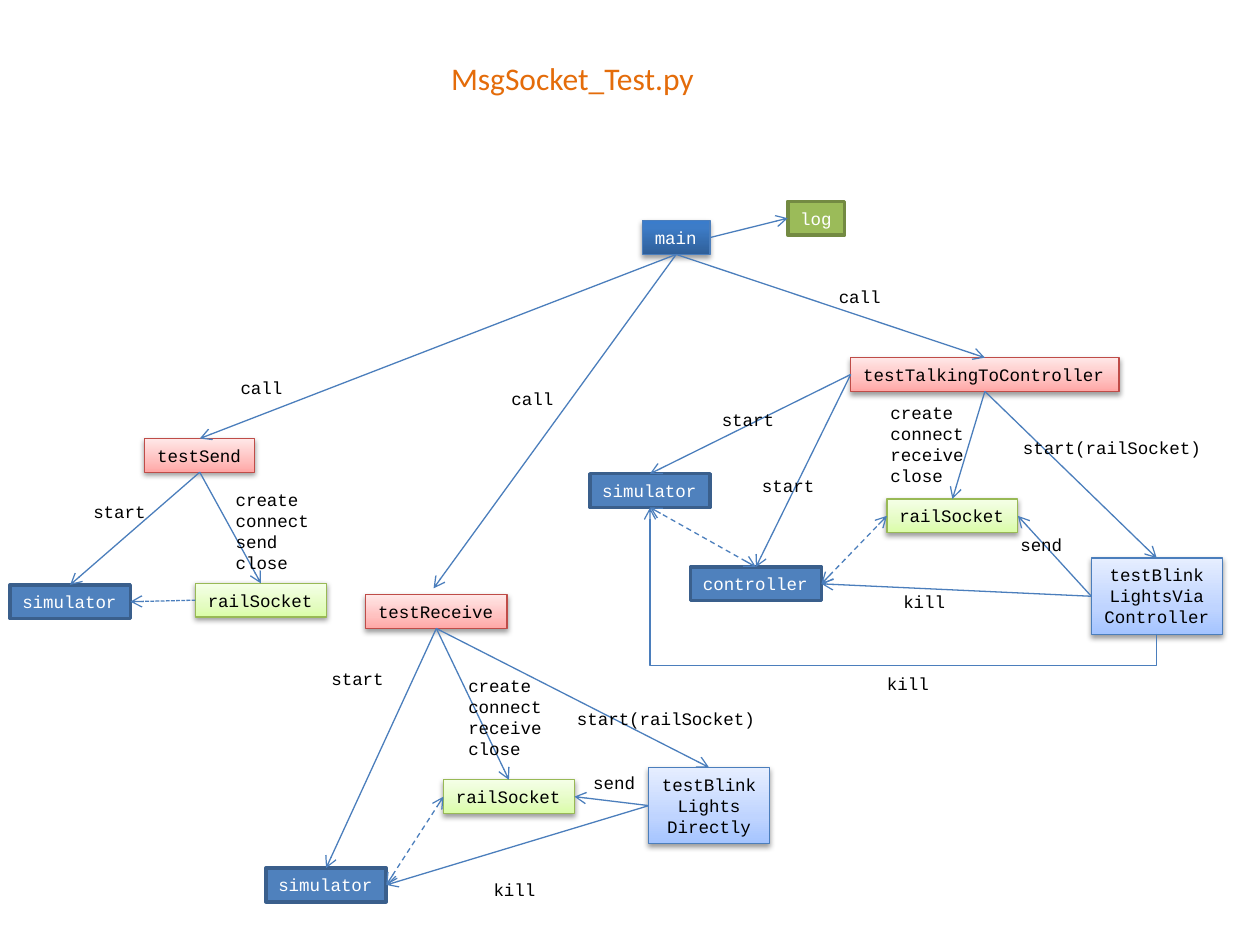
from lxml import etree
from pptx import Presentation
from pptx.dml.color import RGBColor
from pptx.enum.dml import MSO_LINE
from pptx.enum.shapes import MSO_CONNECTOR, MSO_SHAPE
from pptx.enum.text import MSO_ANCHOR, MSO_AUTO_SIZE, PP_ALIGN
from pptx.oxml.ns import qn
from pptx.util import Cm, Pt

RECTANGLE = MSO_SHAPE.RECTANGLE
STRAIGHT, ELBOW = MSO_CONNECTOR.STRAIGHT, MSO_CONNECTOR.ELBOW
DASH, SHORT_DASH = MSO_LINE.DASH, MSO_LINE.SQUARE_DOT
LEFT, CENTER = PP_ALIGN.LEFT, PP_ALIGN.CENTER
TOP_SITE, LEFT_SITE, BOTTOM_SITE, RIGHT_SITE = range(4)

COLORS = {"title": "E46C0A", "line": "4B7EBC", "black": "000000", "white": "FFFFFF"}
# Each style: gradient stops or one solid fill, outline, outline width, text colour
STYLES = {
    "main": ({0: "2F5F99", 80: "3D7CC7", 100: "3A7CCB"}, "4B7EBC", 0.75, "white"),
    "log": ("9BBB59", "738A42", 2, "white"),
    "process": ("4F81BD", "3A5F8C", 2, "white"),
    "test": ({0: "FFA6A5", 35: "FFC0BF", 100: "FFE7E7"}, "BF4C48", 0.75, "black"),
    "socket": ({0: "DAFDA7", 35: "E4FCC2", 100: "F5FFE7"}, "98B955", 0.75, "black"),
    "blink": ({0: "A4C4FF", 35: "BFD4FF", 100: "E6EEFF"}, "4B7EBC", 0.75, "black"),
}
CHAR_WIDTH, LINE_HEIGHT = 0.213, 0.43
SIDE_MARGINS, END_MARGINS = 0.51, 0.25

presentation = Presentation()
presentation.slide_width, presentation.slide_height = Cm(25.4), Cm(19.05)
slide = presentation.slides.add_slide(presentation.slide_layouts[5])


def add_text(shape, text, color, alignment=LEFT):
    """Size the shape to its monospaced text and write the text."""
    lines = text.replace("\v", "\n").split("\n")
    shape.width = Cm(SIDE_MARGINS + CHAR_WIDTH * max(map(len, lines)))
    shape.height = Cm(END_MARGINS + LINE_HEIGHT * len(lines))
    frame = shape.text_frame
    frame.text = text
    frame.word_wrap = False
    frame.auto_size = MSO_AUTO_SIZE.SHAPE_TO_FIT_TEXT
    frame.vertical_anchor = MSO_ANCHOR.TOP
    for paragraph in frame.paragraphs:
        paragraph.alignment = alignment
        for run in paragraph.runs:
            run.font.name, run.font.size = "Courier New", Pt(10)
            run.font.color.rgb = RGBColor.from_string(COLORS[color])


def style_connector(connector, dash=None, both_ends=False):
    connector.line.color.rgb = RGBColor.from_string(COLORS["line"])
    connector.line.width = Pt(0.75)
    if dash is not None:
        connector.line.dash_style = dash
    properties = connector._element.spPr
    outline = properties.find(qn("a:ln"))
    for end in ("a:headEnd", "a:tailEnd") if both_ends else ("a:tailEnd",):
        etree.SubElement(outline, qn(end), type="arrow")
    etree.SubElement(properties, qn("a:effectLst"))


# Title
title = slide.shapes.title
title.left, title.top, title.width, title.height = Cm(8.81), Cm(1.07), Cm(5.46), Cm(1.02)
title.text_frame.text = "MsgSocket_Test.py"
title.text_frame.word_wrap = False
title_font = title.text_frame.paragraphs[0].runs[0].font
title_font.name, title_font.size = "Calibri", Pt(18)
title_font.color.rgb = RGBColor.from_string(COLORS["title"])

# Boxes: key, text, style, left, top
boxes = {}
for key, text, style, left, top in [
    ("main", "main", "main", 12.95, 4.45),
    ("log", "log", "log", 15.88, 4.06),
    ("send", "testSend", "test", 2.92, 8.84),
    ("receive", "testReceive", "test", 7.37, 11.99),
    ("talk", "testTalkingToController", "test", 17.15, 7.21),
    ("send socket", "railSocket", "socket", 3.94, 11.76),
    ("send simulator", "simulator", "process", 0.2, 11.79),
    ("receive simulator", "simulator", "process", 5.36, 17.5),
    ("receive socket", "railSocket", "socket", 8.94, 15.72),
    ("receive blink", "testBlink\nLights\nDirectly", "blink", 13.08, 15.47),
    ("controller", "controller", "process", 13.92, 11.43),
    ("talk simulator", "simulator", "process", 11.89, 9.55),
    ("talk socket", "railSocket", "socket", 17.88, 10.06),
    ("talk blink", "testBlink\vLightsVia\nController", "blink", 22, 11.25),
]:
    fill, outline, outline_width, text_color = STYLES[style]
    shape = slide.shapes.add_shape(RECTANGLE, Cm(left), Cm(top), Cm(1), Cm(1))
    add_text(shape, text, text_color, CENTER if style == "blink" else LEFT)
    shape.line.color.rgb = RGBColor.from_string(outline)
    shape.line.width = Pt(outline_width)
    shape.shadow.inherit = False
    if isinstance(fill, str):
        shape.fill.solid()
        shape.fill.fore_color.rgb = RGBColor.from_string(fill)
    else:
        shape.fill.gradient()
        shape.fill.gradient_angle = 90
        properties = shape._element.spPr
        stops = properties.find(".//" + qn("a:gsLst"))
        for stop in list(stops):
            stops.remove(stop)
        for position, color in fill.items():
            stop = etree.SubElement(stops, qn("a:gs"), pos=str(position * 1000))
            etree.SubElement(stop, qn("a:srgbClr"), val=color)
        shadow = etree.SubElement(
            properties.find(qn("a:effectLst")), qn("a:outerShdw"), blurRad=str(Pt(3.1)),
            dist=str(Pt(1.6)), dir="5400000", rotWithShape="0")
        shadow_color = etree.SubElement(shadow, qn("a:srgbClr"), val=COLORS["black"])
        etree.SubElement(shadow_color, qn("a:alpha"), val="38000")
    boxes[key] = shape

# Straight arrows between boxes: from, site, to, site, dash, arrowheads at both ends
for start, start_site, end, end_site, dash, both_ends in [
    ("main", RIGHT_SITE, "log", LEFT_SITE, None, False),
    ("main", BOTTOM_SITE, "talk", TOP_SITE, None, False),
    ("main", BOTTOM_SITE, "send", TOP_SITE, None, False),
    ("send", BOTTOM_SITE, "send socket", TOP_SITE, None, False),
    ("send", BOTTOM_SITE, "send simulator", TOP_SITE, None, False),
    ("send socket", LEFT_SITE, "send simulator", RIGHT_SITE, SHORT_DASH, False),
    ("receive", BOTTOM_SITE, "receive simulator", TOP_SITE, None, False),
    ("receive", BOTTOM_SITE, "receive socket", TOP_SITE, None, False),
    ("receive", BOTTOM_SITE, "receive blink", TOP_SITE, None, False),
    ("receive simulator", RIGHT_SITE, "receive socket", LEFT_SITE, DASH, True),
    ("receive blink", LEFT_SITE, "receive socket", RIGHT_SITE, None, False),
    ("receive blink", LEFT_SITE, "receive simulator", RIGHT_SITE, None, False),
    ("controller", RIGHT_SITE, "talk socket", LEFT_SITE, DASH, True),
    ("talk", LEFT_SITE, "talk simulator", TOP_SITE, None, False),
    ("talk", LEFT_SITE, "controller", TOP_SITE, None, False),
    ("controller", TOP_SITE, "talk simulator", BOTTOM_SITE, DASH, True),
    ("talk", BOTTOM_SITE, "talk socket", TOP_SITE, None, False),
    ("talk", BOTTOM_SITE, "talk blink", TOP_SITE, None, False),
    ("talk blink", LEFT_SITE, "talk socket", RIGHT_SITE, None, False),
    ("talk blink", LEFT_SITE, "controller", RIGHT_SITE, None, False),
]:
    connector = slide.shapes.add_connector(STRAIGHT, 0, 0, 0, 0)
    connector.begin_connect(boxes[start], start_site)
    connector.end_connect(boxes[end], end_site)
    style_connector(connector, dash, both_ends)

# Call arrow that stops just above testReceive
receive_call = slide.shapes.add_connector(STRAIGHT, 0, 0, Cm(8.74), Cm(11.86))
receive_call.begin_connect(boxes["main"], BOTTOM_SITE)
style_connector(receive_call)

# Bent kill arrow, turned a quarter so that it runs below both boxes
kill_arrow = slide.shapes.add_connector(ELBOW, Cm(19.48), Cm(6.4), Cm(16.94), Cm(16.61))
kill_properties = kill_arrow._element.spPr
kill_properties.find(qn("a:xfrm")).set("rot", "5400000")
adjustments = kill_properties.find(".//" + qn("a:avLst"))
etree.SubElement(adjustments, qn("a:gd"), name="adj1", fmla="val -25100")
style_connector(kill_arrow)

# Arrow labels
for text, left, top in [
    ("call", 4.6, 7.47),
    ("call", 10.06, 7.7),
    ("call", 16.66, 5.64),
    ("create\nconnect\nsend\nclose", 4.5, 9.73),
    ("create\nconnect\nreceive\nclose", 9.19, 13.49),
    ("create\nconnect\nreceive\nclose", 17.7, 7.98),
    ("start(railSocket)", 11.38, 14.15),
    ("start(railSocket)", 20.37, 8.69),
    ("start", 1.63, 9.98),
    ("start", 6.43, 13.34),
    ("start", 14.3, 8.13),
    ("start", 15.11, 9.45),
    ("send", 11.71, 15.44),
    ("send", 20.32, 10.64),
    ("kill", 9.7, 17.6),
    ("kill", 17.96, 11.79),
    ("kill", 17.63, 13.44),
]:
    label = slide.shapes.add_textbox(Cm(left), Cm(top), Cm(1), Cm(1))
    add_text(label, text, "black")

presentation.save("out.pptx")
